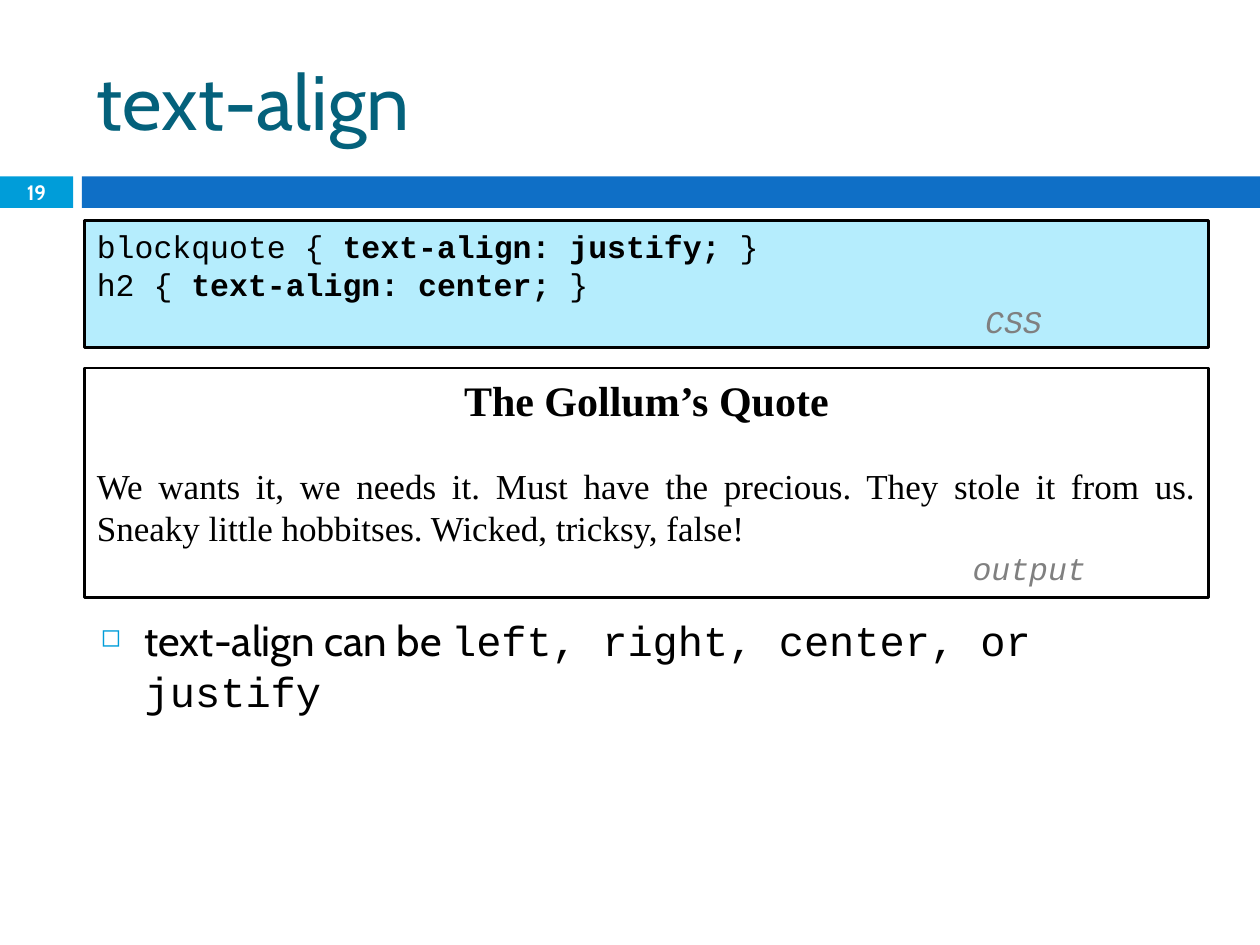
from dataclasses import dataclass

from lxml.etree import SubElement
from pptx import Presentation
from pptx.dml.color import RGBColor
from pptx.enum.shapes import MSO_SHAPE
from pptx.enum.text import MSO_ANCHOR, PP_ALIGN
from pptx.oxml.ns import qn
from pptx.util import Inches, Pt


@dataclass(frozen=True)
class Theme:
    accent: str = "009DD9"
    band: str = "0F6FC6"
    title: str = "04617B"
    code_fill: str = "B5EDFD"
    white: str = "FFFFFF"
    black: str = "000000"
    label: str = "808080"
    body_font: str = "Cabin"
    code_font: str = "Courier New"
    quote_font: str = "Times New Roman"
    title_size: float = 44
    heading_size: float = 24
    quote_size: float = 20
    code_size: float = 18
    number_size: float = 11.9


class SlideBuilder:
    def __init__(self, slide, theme):
        self.slide = slide
        self.theme = theme

    def rectangle(self, box, fill, outlined=False):
        shape = self.slide.shapes.add_shape(MSO_SHAPE.RECTANGLE, *map(Inches, box))
        shape.shadow.inherit = False
        shape.fill.solid()
        shape.fill.fore_color.rgb = RGBColor.from_string(fill)
        if outlined:
            shape.line.color.rgb = RGBColor.from_string(self.theme.black)
            shape.line.width = Pt(1.5)
        else:
            shape.line.fill.background()
        shape.text_frame.word_wrap = True
        shape.text_frame.vertical_anchor = MSO_ANCHOR.TOP
        return shape.text_frame

    def text_box(self, box, anchor=MSO_ANCHOR.TOP):
        text_frame = self.slide.shapes.add_textbox(*map(Inches, box)).text_frame
        text_frame.word_wrap = True
        text_frame.vertical_anchor = anchor
        return text_frame

    def paragraph(self, text_frame, runs, font, size, color=None, align=PP_ALIGN.LEFT):
        paragraph = text_frame.paragraphs[0]
        if paragraph.runs:
            paragraph = text_frame.add_paragraph()
        paragraph.alignment = align
        for text, style in runs:
            run = paragraph.add_run()
            run.text = text
            run.font.name = style.get("font", font)
            run.font.size = Pt(size)
            run.font.bold = style.get("bold", False)
            run.font.italic = style.get("italic", False)
            run.font.color.rgb = RGBColor.from_string(color or self.theme.black)
        return paragraph

    def label(self, text_frame, text, indent):
        theme = self.theme
        paragraph = self.paragraph(text_frame, [(text, {"italic": True})],
                                   theme.code_font, theme.code_size, theme.label)
        paragraph._p.get_or_add_pPr().set("marL", str(Inches(indent)))

    def css_rule(self, text_frame, selector, declaration):
        runs = [(f"{selector} {{ ", {}), (f"{declaration} ", {"bold": True}), ("}", {})]
        self.paragraph(text_frame, runs, self.theme.code_font, self.theme.code_size)

    def bullet(self, text_frame, runs):
        theme = self.theme
        paragraph = self.paragraph(text_frame, runs, theme.body_font, theme.heading_size)
        paragraph.space_before = Pt(7)
        properties = paragraph._p.get_or_add_pPr()
        properties.set("marL", str(Inches(0.35)))
        properties.set("indent", str(Inches(-0.35)))
        color = SubElement(properties, qn("a:buClr"))
        SubElement(color, qn("a:srgbClr"), val=theme.accent)
        SubElement(properties, qn("a:buSzPct"), val="60000")
        SubElement(properties, qn("a:buChar"), char="◻")


def main():
    presentation = Presentation()
    presentation.slide_width = Inches(10)
    presentation.slide_height = Inches(7.5)
    theme = Theme()
    builder = SlideBuilder(presentation.slides.add_slide(presentation.slide_layouts[6]), theme)
    left, width = 0.67, 8.92

    builder.rectangle((0, 1.4, 0.58, 0.25), theme.accent)
    builder.rectangle((0.65, 1.4, 9.35, 0.25), theme.band)

    title = builder.text_box((left, 0.25, width, 1.08), MSO_ANCHOR.MIDDLE)
    builder.paragraph(title, [("text-align", {})], theme.body_font, theme.title_size, theme.title)

    number = builder.text_box((0, 1.39, 0.58, 0.27), MSO_ANCHOR.MIDDLE)
    builder.paragraph(number, [("19", {"bold": True})], theme.body_font, theme.number_size,
                      theme.white, PP_ALIGN.CENTER)

    code = builder.rectangle((left, 1.75, width, 1.01), theme.code_fill, outlined=True)
    builder.css_rule(code, "blockquote", "text-align: justify;")
    builder.css_rule(code, "h2", "text-align: center;")
    builder.label(code, "CSS", 7.05)

    output = builder.rectangle((left, 2.92, width, 1.82), theme.white, outlined=True)
    heading = builder.paragraph(output, [("The Gollum’s Quote", {"bold": True})],
                                theme.quote_font, theme.heading_size, align=PP_ALIGN.CENTER)
    heading.space_after = Pt(23)
    quote = ("We wants it, we needs it. Must have the precious. They stole it from us. "
             "Sneaky little hobbitses. Wicked, tricksy, false!")
    builder.paragraph(output, [(quote, {})], theme.quote_font, theme.quote_size,
                      align=PP_ALIGN.JUSTIFY)
    builder.label(output, "output", 6.95)

    body = builder.text_box((0.7, 4.83, width, 1.67))
    builder.bullet(body, [("text-align can be ", {}),
                          ("left, right, center, or justify", {"font": theme.code_font})])

    presentation.save("out.pptx")


if __name__ == "__main__":
    main()
